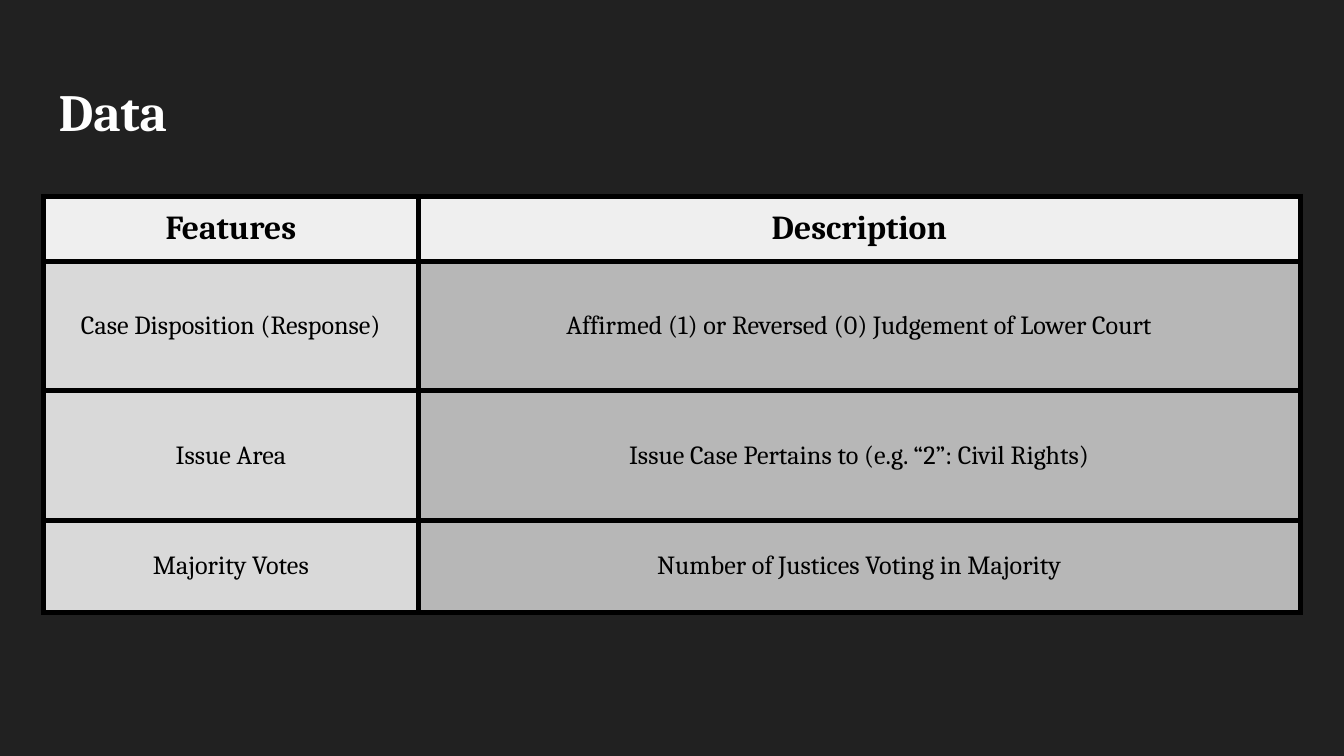
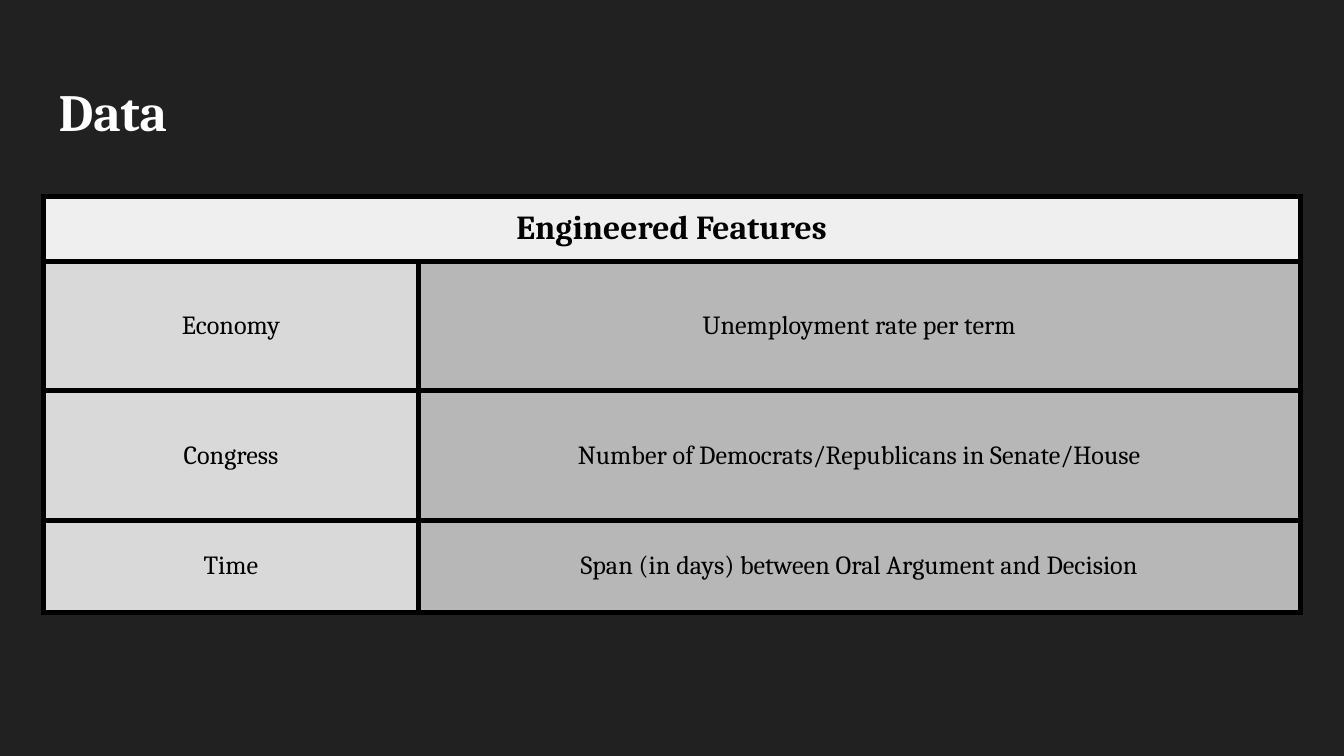
from dataclasses import dataclass

from lxml import etree
from pptx import Presentation
from pptx.dml.color import RGBColor
from pptx.enum.text import MSO_ANCHOR, PP_ALIGN
from pptx.oxml.ns import qn
from pptx.slide import Slide
from pptx.table import _Cell
from pptx.text.text import TextFrame
from pptx.util import Cm, Pt

MIDDLE = MSO_ANCHOR.MIDDLE
LEFT = PP_ALIGN.LEFT
CENTER = PP_ALIGN.CENTER

# Shared look
FONT = "Cambria"
DARK, WHITE, BLACK = "212121", "FFFFFF", "000000"
HEAD_FILL = "EFEFEF"
BODY_FILLS = ("D9D9D9", "B7B7B7")
COLS = (Cm(7.09), Cm(16.66))
ROWS = (Cm(1.24), Cm(2.44), Cm(2.44), Cm(1.75))
BORDER = Pt(3)


@dataclass(frozen=True)
class Page:
    title: str
    head: tuple[str, ...]  # a single entry spans both columns
    body: tuple[tuple[str, str], ...]


PAGES = (
    Page("Data", ("Features", "Description"), (
        ("Case Disposition (Response)",
         "Affirmed (1) or Reversed (0) Judgement of Lower Court"),
        ("Issue Area", "Issue Case Pertains to (e.g. “2”: Civil Rights)"),
        ("Majority Votes", "Number of Justices Voting in Majority"),
    )),
    Page("Data", ("Engineered Features",), (
        ("Economy", "Unemployment rate per term"),
        ("Congress", "Number of Democrats/Republicans in Senate/House"),
        ("Time", "Span (in days) between Oral Argument and Decision"),
    )),
)


def color(code: str) -> RGBColor:
    return RGBColor.from_string(code)


def write(frame: TextFrame, text: str, size: int, ink: str,
          bold: bool, align: PP_ALIGN) -> None:
    para = frame.paragraphs[0]
    para.text = text
    para.alignment = align
    font = para.font
    font.name, font.size, font.bold = FONT, Pt(size), bold
    font.color.rgb = color(ink)


def set_pad(box: TextFrame | _Cell, pad: Cm) -> None:
    box.margin_left = box.margin_right = pad
    box.margin_top = box.margin_bottom = pad


def style_cell(cell: _Cell, fill: str) -> None:
    set_pad(cell, Cm(0.18))
    cell.vertical_anchor = MIDDLE
    # Borders go before the fill in the cell properties
    props = cell._tc.get_or_add_tcPr()
    for side in ("a:lnL", "a:lnR", "a:lnT", "a:lnB"):
        line = etree.SubElement(props, qn(side), w=str(int(BORDER)))
        solid = etree.SubElement(line, qn("a:solidFill"))
        etree.SubElement(solid, qn("a:srgbClr"), val=BLACK)
    cell.fill.solid()
    cell.fill.fore_color.rgb = color(fill)


def add_title(slide: Slide, text: str) -> None:
    box = slide.shapes.add_textbox(Cm(0.86), Cm(1.24), Cm(23.67), Cm(1.6))
    frame = box.text_frame
    frame.word_wrap = True
    set_pad(frame, Cm(0.25))
    write(frame, text, 28, WHITE, True, LEFT)


def add_grid(slide: Slide, page: Page) -> None:
    table = slide.shapes.add_table(
        len(ROWS), len(COLS), Cm(0.82), Cm(3.71), sum(COLS), sum(ROWS)).table
    table.horz_banding = False
    for col, width in zip(table.columns, COLS):
        col.width = width
    for row, height in zip(table.rows, ROWS):
        row.height = height
    if len(page.head) == 1:
        table.cell(0, 0).merge(table.cell(0, len(COLS) - 1))

    for i, texts in enumerate((page.head, *page.body)):
        top = i == 0
        for j, fill in enumerate(BODY_FILLS):
            cell = table.cell(i, j)
            style_cell(cell, HEAD_FILL if top else fill)
            if not cell.is_spanned:
                write(cell.text_frame, texts[j], 18 if top else 14,
                      BLACK, top, CENTER)


def main() -> None:
    deck = Presentation()
    deck.slide_width, deck.slide_height = Cm(25.4), Cm(14.29)
    blank = deck.slide_layouts[6]
    for page in PAGES:
        slide = deck.slides.add_slide(blank)
        back = slide.background.fill
        back.solid()
        back.fore_color.rgb = color(DARK)
        add_title(slide, page.title)
        add_grid(slide, page)
    deck.save("out.pptx")


if __name__ == "__main__":
    main()
